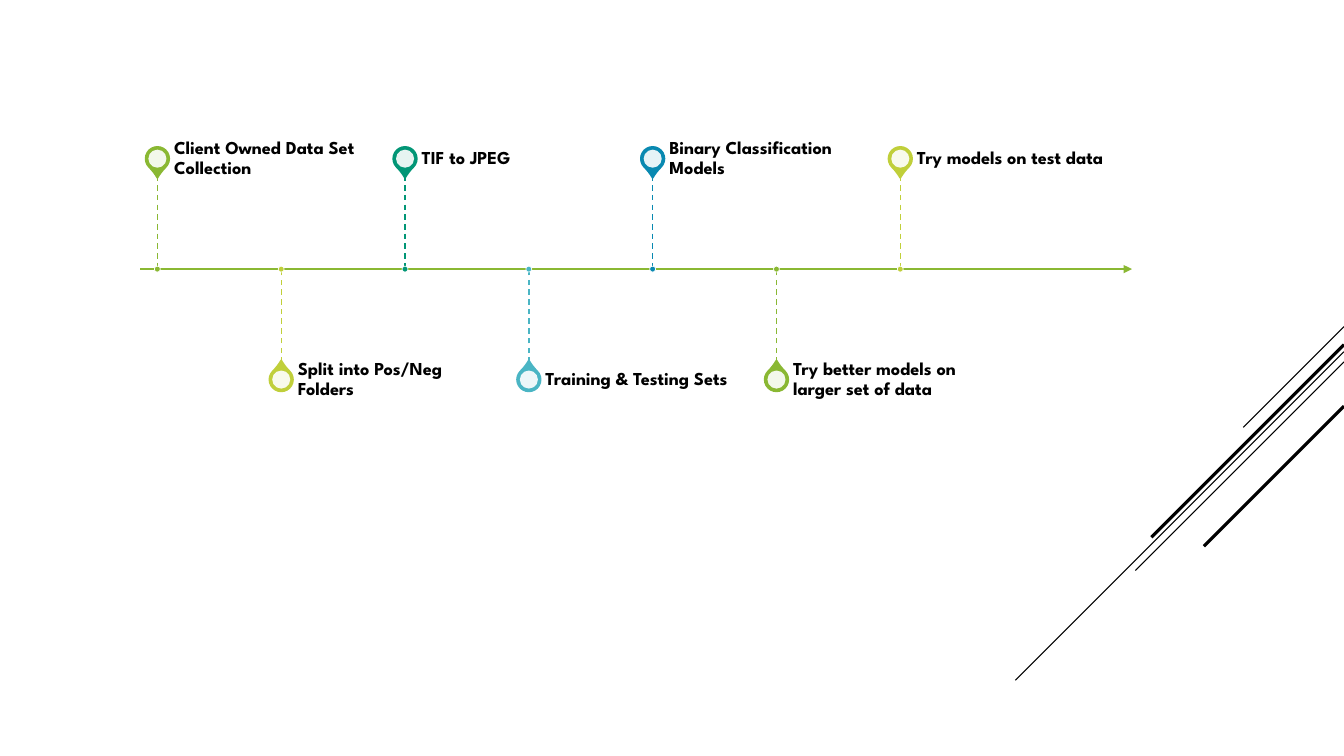
import pptx
import pptx.util
from pptx.dml.color import RGBColor
from pptx.enum.dml import MSO_LINE
from pptx.enum.shapes import MSO_CONNECTOR, MSO_SHAPE
from pptx.enum.text import MSO_ANCHOR, PP_ALIGN
from pptx.oxml.ns import qn
import lxml.etree

BLACK = RGBColor(0x00, 0x00, 0x00)
WHITE = RGBColor(0xFF, 0xFF, 0xFF)
GREEN = RGBColor(0x8A, 0xB8, 0x33)
LIME = RGBColor(0xC0, 0xCF, 0x3A)
TEAL = RGBColor(0x02, 0x96, 0x76)
AQUA = RGBColor(0x4A, 0xB5, 0xC4)
BLUE = RGBColor(0x09, 0x89, 0xB1)

# The grid has 160 by 90 square cells; all lengths below count cells.
COLUMNS = 160
AXIS_ROW, AXIS_START, AXIS_END = 32.04, 16.68, 134.76
FIRST_STEP, STEP_GAP = 18.74, 14.74
PIN_RISE, STEM_LENGTH = 13.15, 11.16
PIN_SIZE, CORE_SIZE, DOT_SIZE = 2.8, 2.15, 0.7
LABEL_GAP, LABEL_WIDTH, LABEL_HEIGHT = 1.98, 24.5, 4

# Start row on the right edge, length in cells, weight in points
DIAGONALS = [
    (38.88, 12, 0.75),
    (41.88, 39.12, 0.75),
    (43.08, 24.84, 0.75),
    (41.04, 22.92, 2.25),
    (48.36, 16.68, 2.25),
]

STEPS = [
    ("Client Owned Data Set Collection", GREEN),
    ("Split into Pos/Neg Folders", LIME),
    ("TIF to JPEG", TEAL),
    ("Training & Testing Sets", AQUA),
    ("Binary Classification Models", BLUE),
    ("Try better models on larger set of data", GREEN),
    ("Try models on test data", LIME),
]


def write(frame, text, font="League Spartan", size=13, bold=True, color=BLACK,
          line_spacing=0.9):
    paragraph = frame.paragraphs[0]
    paragraph.alignment = PP_ALIGN.LEFT
    paragraph.line_spacing = line_spacing
    run = paragraph.add_run()
    run.text = text
    run.font.name = font
    run.font.size = pptx.util.Pt(size)
    run.font.bold = bold
    run.font.color.rgb = color


class TimelineSlide:
    """Draws on one slide, with lengths in grid cells."""

    def __init__(self, deck):
        self.cell = deck.slide_width / COLUMNS
        self.shapes = deck.slides.add_slide(deck.slide_layouts[6]).shapes

    def cells(self, *counts):
        return [pptx.util.Emu(round(count * self.cell)) for count in counts]

    def line(self, x1, y1, x2, y2, color, weight, dashed=False, arrow=False):
        connector = self.shapes.add_connector(
            MSO_CONNECTOR.STRAIGHT, *self.cells(x1, y1, x2, y2))
        connector.line.color.rgb = color
        connector.line.width = pptx.util.Pt(weight)
        if dashed:
            connector.line.dash_style = MSO_LINE.DASH
        if arrow:
            outline = connector.line._get_or_add_ln()
            lxml.etree.SubElement(outline, qn("a:tailEnd"), type="triangle")
        lxml.etree.SubElement(connector._element.spPr, qn("a:effectLst"))

    def marker(self, kind, x, y, size, fill, outline=None, weight=0, alpha=None):
        """Adds a square shape centred on (x, y)."""
        shape = self.shapes.add_shape(
            kind, *self.cells(x - size / 2, y - size / 2, size, size))
        shape.shadow.inherit = False
        shape.fill.solid()
        shape.fill.fore_color.rgb = fill
        if alpha is not None:
            tint = shape._element.spPr.find(qn("a:solidFill"))[0]
            lxml.etree.SubElement(tint, qn("a:alpha"), val=str(alpha * 1000))
        if outline is None:
            shape.line.fill.background()
        else:
            shape.line.color.rgb = outline
            shape.line.width = pptx.util.Pt(weight)
        return shape

    def label(self, text, x, middle):
        box = self.shapes.add_textbox(*self.cells(
            x, middle - LABEL_HEIGHT / 2, LABEL_WIDTH, LABEL_HEIGHT))
        frame = box.text_frame
        frame.word_wrap = True
        frame.vertical_anchor = MSO_ANCHOR.MIDDLE
        frame.margin_left = frame.margin_top = frame.margin_bottom = 0
        frame.margin_right = pptx.util.Inches(0.09)
        write(frame, text)

    def step(self, text, color, x, above):
        side = -1 if above else 1
        pin_row = AXIS_ROW + side * PIN_RISE
        pin = self.marker(MSO_SHAPE.TEAR, x, pin_row, PIN_SIZE, color, color, 1.25)
        pin.adjustments[0] = 1.15
        pin.rotation = 135 if above else 315
        self.marker(MSO_SHAPE.OVAL, x, pin_row, CORE_SIZE, WHITE, alpha=90)
        self.label(text, x + LABEL_GAP, pin_row)
        self.line(x, AXIS_ROW + side * STEM_LENGTH, x, AXIS_ROW, color, 1, dashed=True)
        self.marker(MSO_SHAPE.OVAL, x, AXIS_ROW, DOT_SIZE, color, WHITE, 0.5)


def main():
    deck = pptx.Presentation()
    deck.slide_width = pptx.util.Inches(13.333)
    deck.slide_height = pptx.util.Inches(7.5)
    timeline = TimelineSlide(deck)
    for row, length, weight in DIAGONALS:
        timeline.line(COLUMNS, row, COLUMNS - length, row + length, BLACK, weight)
    timeline.line(AXIS_START, AXIS_ROW, AXIS_END, AXIS_ROW, GREEN, 1.5, arrow=True)
    for index, (text, color) in enumerate(STEPS):
        timeline.step(text, color, FIRST_STEP + index * STEP_GAP, above=index % 2 == 0)
    deck.save("out.pptx")


if __name__ == "__main__":
    main()
